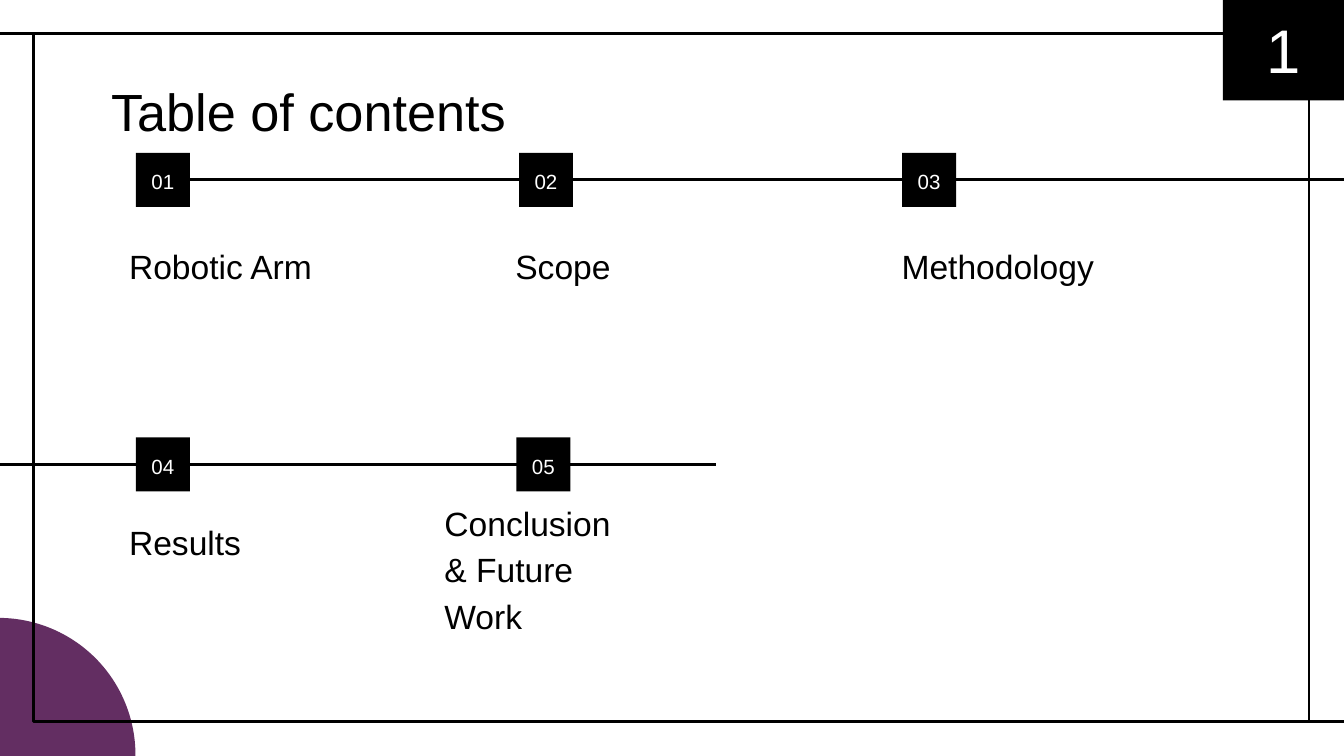
from dataclasses import dataclass

from lxml.etree import SubElement
from pptx import Presentation
from pptx.dml.color import RGBColor
from pptx.enum.shapes import MSO_CONNECTOR as Connector, MSO_SHAPE as Preset
from pptx.enum.text import MSO_ANCHOR as Anchor, PP_ALIGN as Align
from pptx.oxml.ns import qn
from pptx.util import Cm, Pt


@dataclass(frozen=True)
class Theme:
    ink: RGBColor = RGBColor(0x00, 0x00, 0x00)
    paper: RGBColor = RGBColor(0xFF, 0xFF, 0xFF)
    accent: RGBColor = RGBColor(0x63, 0x2E, 0x62)
    font: str = "Arial"
    title: int = 28
    label: int = 18
    badge: int = 11
    number: int = 33
    stroke: float = 1.5
    inset: float = 0.25


@dataclass(frozen=True)
class Box:
    left: float
    top: float
    width: float
    height: float

    @property
    def right(self):
        return self.left + self.width

    @property
    def bottom(self):
        return self.top + self.height

    def lengths(self):
        return [Cm(value) for value in (self.left, self.top, self.width, self.height)]


THEME = Theme()
BADGE = 1.02


def add_text(shape, text, *, size, color=THEME.ink, align=Align.LEFT,
             anchor=Anchor.TOP, spacing=1.0):
    frame = shape.text_frame
    frame.word_wrap = True
    frame.vertical_anchor = anchor
    frame.margin_left = frame.margin_right = Cm(THEME.inset)
    frame.margin_top = frame.margin_bottom = Cm(THEME.inset)
    para = frame.paragraphs[0]
    para.alignment = align
    para.line_spacing = spacing
    span = para.add_run()
    span.text = text
    span.font.name = THEME.font
    span.font.size = Pt(size)
    span.font.color.rgb = color


def add_block(page, box, preset=Preset.RECTANGLE, fill=None):
    shape = page.shapes.add_shape(preset, *box.lengths())
    shape.shadow.inherit = False
    if fill is None:
        shape.fill.background()
        shape.line.color.rgb = THEME.ink
        shape.line.width = Pt(THEME.stroke)
    else:
        shape.fill.solid()
        shape.fill.fore_color.rgb = fill
        shape.line.fill.background()
    return shape


def add_rule(page, start, end, height):
    rule = page.shapes.add_connector(
        Connector.STRAIGHT, Cm(start), Cm(height), Cm(end), Cm(height))
    rule.line.color.rgb = THEME.ink
    rule.line.width = Pt(THEME.stroke)
    SubElement(rule._element.spPr, qn("a:effectLst"))


def add_label(page, box, text):
    add_text(page.shapes.add_textbox(*box.lengths()), text,
             size=THEME.label, anchor=Anchor.BOTTOM, spacing=1.15)


def draw_background(page, box):
    add_block(page, Box(-2.62, 11.68, 5.18, 5.18), Preset.OVAL, THEME.accent)
    add_block(page, box)
    add_rule(page, box.left, -0.05, box.top)
    add_rule(page, box.right, 25.48, box.bottom)


def draw_title(page, box):
    add_text(page.shapes.add_textbox(*box.lengths()), "Table of contents", size=THEME.title)


def draw_agenda_row(page, box, first, badge_pitch, entries):
    middle = box.top + BADGE / 2
    add_rule(page, box.left, box.right, middle)
    for index, (text, label_box) in enumerate(entries):
        badge_box = Box(2.57 + index * badge_pitch, box.top, BADGE, BADGE)
        badge = add_block(page, badge_box, fill=THEME.ink)
        add_text(badge, f"{first + index:02d}", size=THEME.badge, color=THEME.paper,
                 align=Align.CENTER, anchor=Anchor.MIDDLE, spacing=1.15)
        add_label(page, label_box, text)


def draw_page_number(page, box):
    add_text(add_block(page, box, fill=THEME.ink), "1", size=THEME.number,
             color=THEME.paper, align=Align.CENTER, anchor=Anchor.MIDDLE)


def main():
    deck = Presentation()
    deck.slide_width, deck.slide_height = Cm(25.4), Cm(14.29)
    page = deck.slides.add_slide(deck.slide_layouts[6])
    page.background.fill.solid()
    page.background.fill.fore_color.rgb = THEME.paper

    draw_background(page, Box(0.64, 0.64, 24.1, 13))
    draw_title(page, Box(1.85, 1.24, 21.41, 1.6))
    topics = ["Robotic Arm", "Scope", "Methodology"]
    upper = [(topic, Box(2.19 + index * 7.3, 4.6, 6.4, 1.07))
             for index, topic in enumerate(topics)]
    lower = [("Results", Box(2.19, 9.81, 6.4, 1.07)),
             ("Conclusion & Future Work", Box(8.15, 9.58, 4.2, 2.69))]
    draw_agenda_row(page, Box(3.58, 2.89, 22.25, BADGE), 1, 7.24, upper)
    draw_agenda_row(page, Box(-10.26, 8.27, 23.8, BADGE), 4, 7.19, lower)
    draw_page_number(page, Box(23.11, -0.05, 2.29, 1.95))
    deck.save("out.pptx")


if __name__ == "__main__":
    main()
